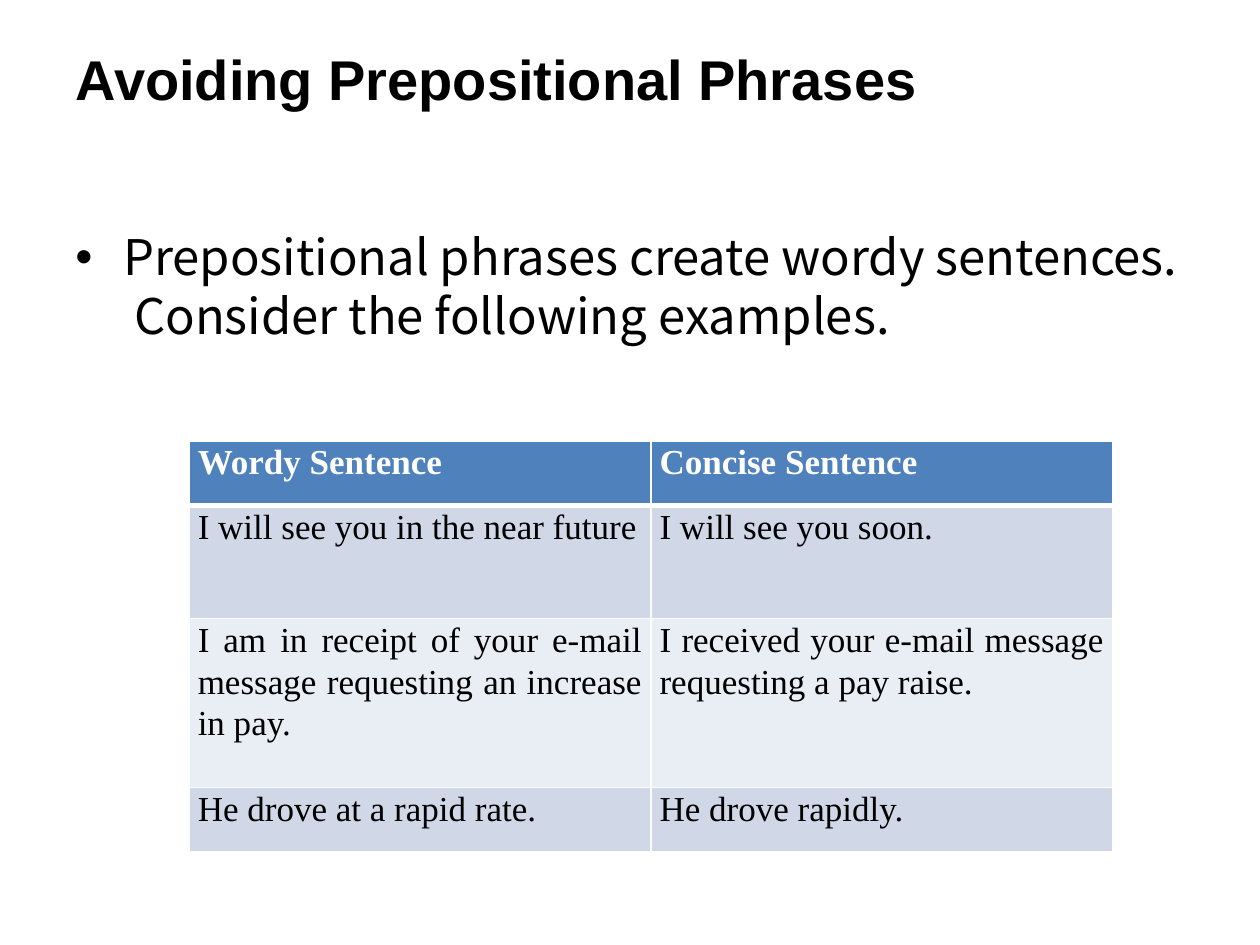
from lxml import etree
from pptx import Presentation
from pptx.dml.color import RGBColor
from pptx.enum.text import MSO_ANCHOR, PP_ALIGN
from pptx.oxml.ns import qn
from pptx.util import Inches, Pt

TOP = MSO_ANCHOR.TOP
LEFT = PP_ALIGN.LEFT
JUSTIFY = PP_ALIGN.JUSTIFY
COLORS = {"text": "000000", "white": "FFFFFF", "header": "4F81BD",
          "band_dark": "D0D8E8", "band_light": "E9EDF4"}


def add_text(para, text, font, size, color, bold=False):
    span = para.add_run()
    span.text = text
    span.font.name = font
    span.font.size = Pt(size)
    span.font.bold = bold
    span.font.color.rgb = RGBColor.from_string(COLORS[color])


def add_border(cell, side, width):
    properties = cell._tc.get_or_add_tcPr()
    line = etree.SubElement(properties, qn(f"a:ln{side}"), w=str(Pt(width)))
    fill = etree.SubElement(line, qn("a:solidFill"))
    etree.SubElement(fill, qn("a:srgbClr"), val=COLORS["white"])


deck = Presentation()
deck.slide_width = Inches(10)
deck.slide_height = Inches(7.5)
page = deck.slides.add_slide(deck.slide_layouts[5])
margin = int(deck.slide_width * 0.05)
content_width = deck.slide_width - 2 * margin

title = page.shapes.title
title.left, title.top = margin, int(deck.slide_height * 0.04)
title.width, title.height = content_width, Inches(0.78)
title.text_frame.vertical_anchor = TOP
title.text_frame.margin_top = Inches(0.05)
title.text_frame.paragraphs[0].alignment = LEFT
add_text(title.text_frame.paragraphs[0], "Avoiding Prepositional Phrases",
         "Arial", 32, "text", True)

body = page.shapes.add_textbox(margin, Inches(1.75), content_width, Inches(4.95))
body.text_frame.word_wrap = True
body.text_frame.margin_top = Inches(0.05)
para = body.text_frame.paragraphs[0]
para.line_spacing = 1.0
para_properties = para._p.get_or_add_pPr()
para_properties.set("marL", str(Inches(0.38)))
para_properties.set("indent", str(-Inches(0.38)))
etree.SubElement(para_properties, qn("a:buFont"), typeface="Arial")
etree.SubElement(para_properties, qn("a:buChar"), char="•")
add_text(para, "Prepositional phrases create wordy sentences.  Consider the following examples.",
         "Noto Sans CJK KR", 28, "text")

sentences = [
    ("Wordy Sentence", "Concise Sentence"),
    ("I will see you in the near future", "I will see you soon."),
    ("I am in receipt of your e-mail message requesting an increase in pay.",
     "I received your e-mail message requesting a pay raise."),
    ("He drove at a rapid rate.", "He drove rapidly."),
]
row_heights = [0.51, 0.9, 1.34, 0.51]
row_fills = ["header", "band_dark", "band_light", "band_dark"]
table = page.shapes.add_table(
    len(sentences), 2, int(deck.slide_width * 0.15), Inches(3.5),
    Inches(7.33), Inches(sum(row_heights))).table
table.horz_banding = False
for column in table.columns:
    column.width = Inches(7.33 / 2)

for row, texts in enumerate(sentences):
    table.rows[row].height = Inches(row_heights[row])
    is_header = row == 0
    for column, text in enumerate(texts):
        cell = table.cell(row, column)
        cell.margin_left = cell.margin_right = Inches(0.07)
        cell.margin_top = cell.margin_bottom = 0
        cell.vertical_anchor = TOP
        for side in "LRTB":
            thick = (side == "B" and is_header) or (side == "T" and row == 1)
            add_border(cell, side, 3 if thick else 1)
        cell.fill.solid()
        cell.fill.fore_color.rgb = RGBColor.from_string(COLORS[row_fills[row]])
        para = cell.text_frame.paragraphs[0]
        para.alignment = JUSTIFY
        para.line_spacing = 1.07
        add_text(para, text, "Times New Roman", 20,
                 "white" if is_header else "text", is_header)

deck.save("out.pptx")
